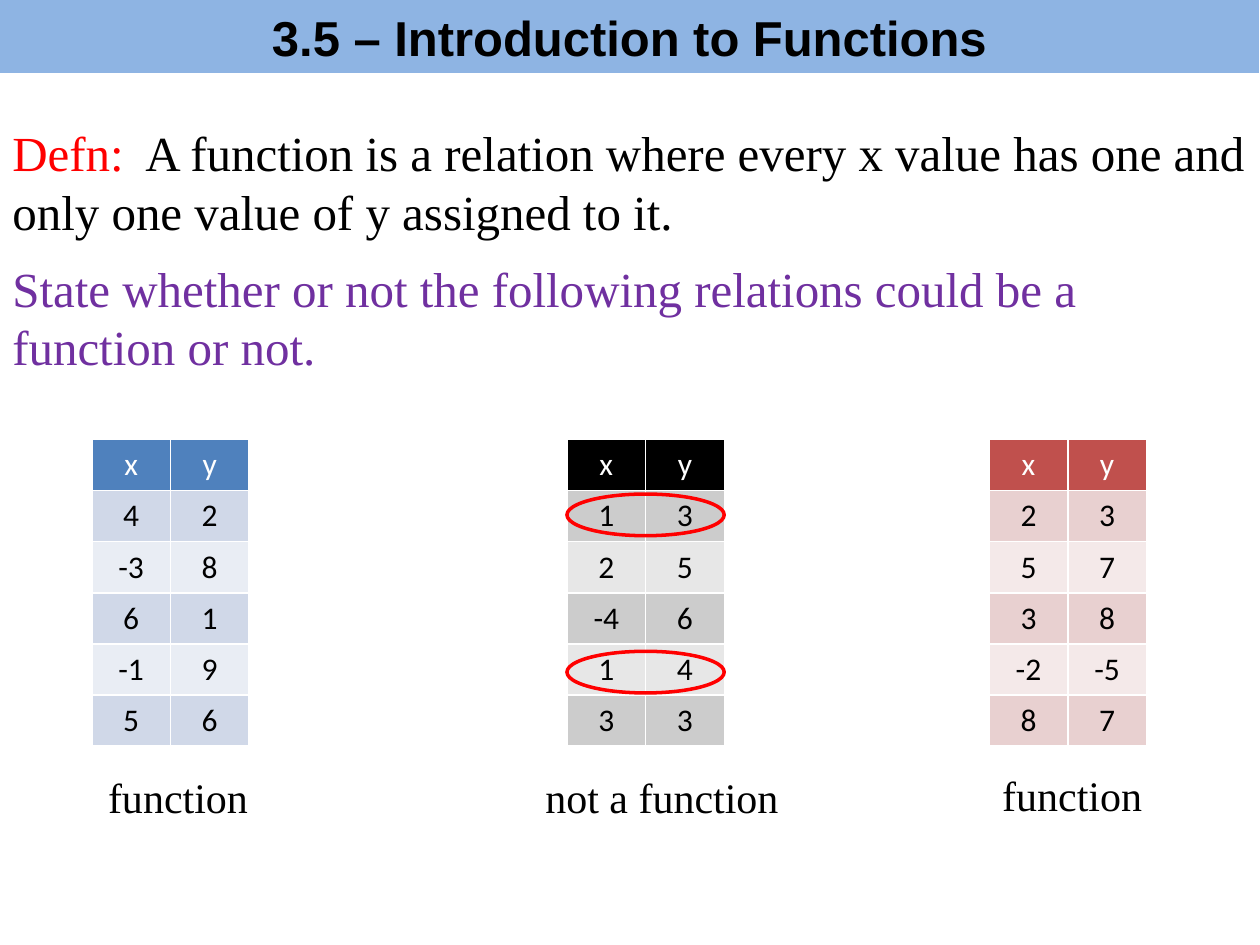
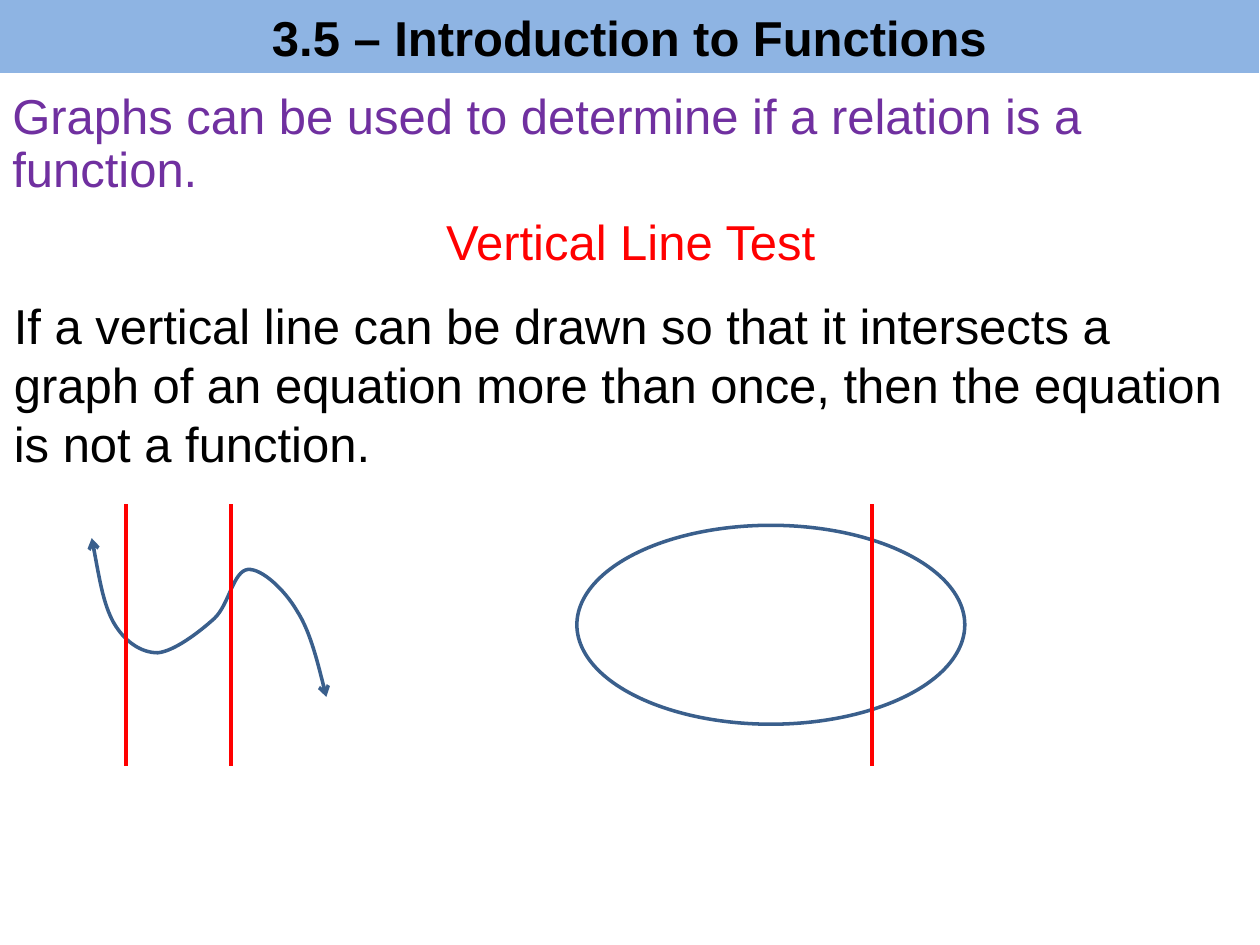
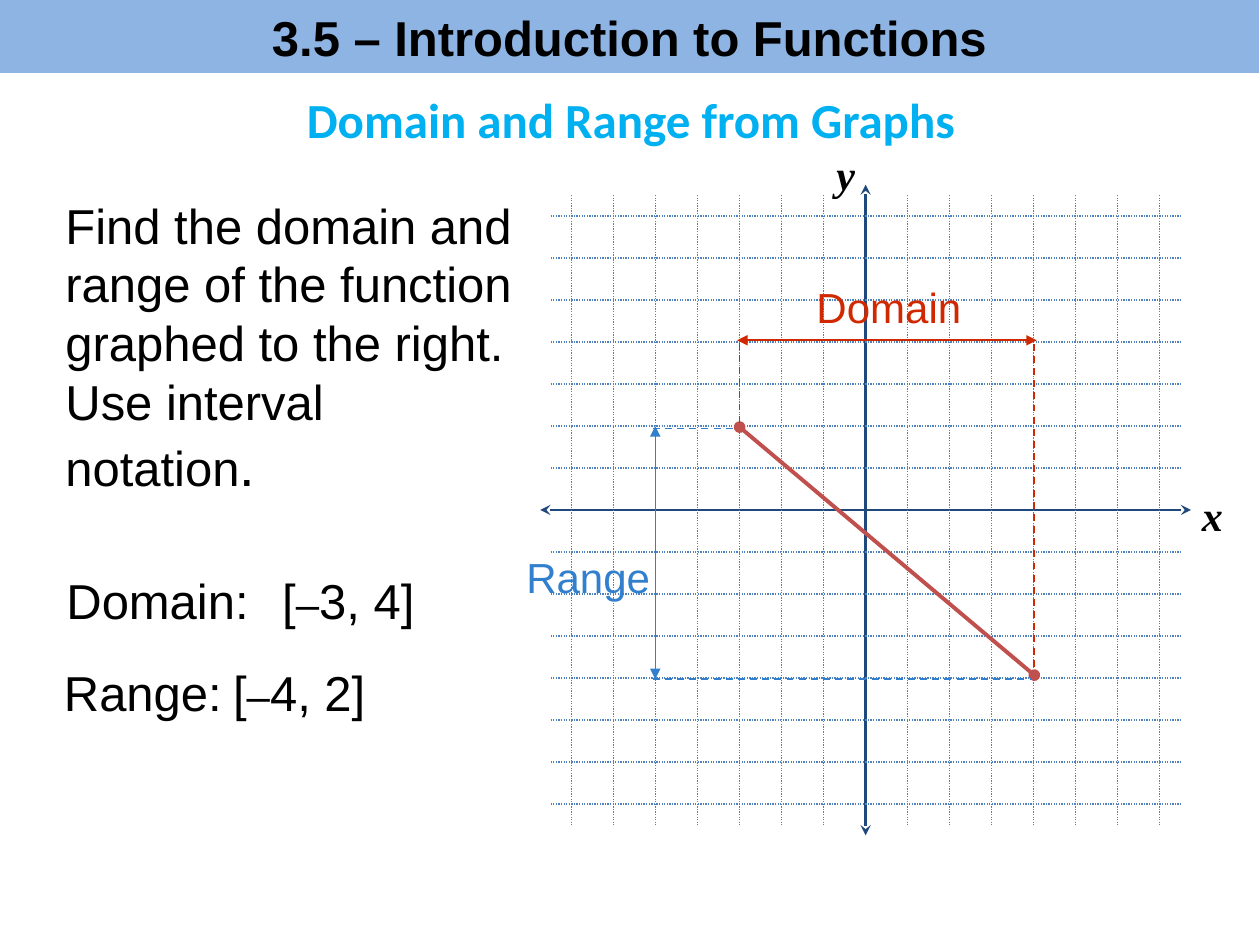
from lxml import etree
from pptx import Presentation
from pptx import util as u
from pptx.dml import color
from pptx.enum import dml, shapes, text
from pptx.oxml import ns

SANS, SERIF, CALIBRI = "Arial", "Times New Roman", "Calibri"
BLACK, WHITE, RED, PURPLE = "000000", "FFFFFF", "FF0000", "7030A0"
BAND, CURVE, AXIS, GRID = "8EB4E3", "3A5F8C", "1F497D", "4F81BD"
SEG, DOMAIN, RANGE, SKY = "C0504D", "D02800", "317FCD", "00B0F0"
LEFT, MID = text.PP_ALIGN.LEFT, text.PP_ALIGN.CENTER
DASH, DOT = dml.MSO_LINE.DASH, dml.MSO_LINE.ROUND_DOT
TITLE = "3.5 – Introduction to Functions"
TOP = 8.86
TABLES = [
    (1.85, ("4F81BD", "D0D8E8", "E9EDF4"),
     [(4, 2), (-3, 8), (6, 1), (-1, 9), (5, 6)]),
    (11.43, (BLACK, "CCCCCC", "E7E7E7"),
     [(1, 3), (2, 5), (-4, 6), (1, 4), (3, 3)]),
    (19.94, ("C0504D", "E8D0D0", "F4E9E9"),
     [(2, 3), (5, 7), (3, 8), (-2, -5), (8, 7)]),
]
WAVE = [
    (1.85, 10.85), (1.98, 11.51), (2.08, 12.17), (2.29, 12.55),
    (2.51, 12.93), (2.84, 13.16), (3.18, 13.16),
    (3.51, 13.13), (4.01, 12.75), (4.32, 12.47),
    (4.62, 12.19), (4.7, 11.51), (5, 11.48),
    (5.28, 11.46), (5.74, 11.89), (5.99, 12.32),
    (6.27, 12.75), (6.58, 14.05), (6.58, 14.05),
]


def rgb(code):
    """Turn a hex string into a colour."""
    return color.RGBColor.from_string(code)


def cms(*nums):
    """Turn numbers into lengths."""
    return [u.Cm(n) for n in nums]


def style(font, size, hue, face, bold=False, slant=False):
    """Format a font."""
    font.size, font.name = u.Pt(size), face
    font.bold, font.italic = bold, slant
    font.color.rgb = rgb(hue)


def write(slide, box, parts, size=28, hue=BLACK, face=SANS, align=LEFT,
          bold=False, slant=False, space=None):
    """Add a text box; each part is a string or (string, size, hue)."""
    frame = slide.shapes.add_textbox(*cms(*box)).text_frame
    frame.word_wrap = True
    para = frame.paragraphs[0]
    para.alignment = align
    if space:
        para.line_spacing = space
    for part in parts:
        words, pts, tint = (part, size, hue) if isinstance(part, str) else part
        run = para.add_run()
        run.text = words
        style(run.font, pts, tint, face, bold, slant)


def ink(line, hue, width, dash=None, ends=None):
    """Format a line, with the same arrowhead at both ends if given."""
    line.color.rgb = rgb(hue)
    line.width = u.Pt(width)
    if dash:
        line.dash_style = dash
    if ends:
        node = line._get_or_add_ln()
        for tag in ("a:headEnd", "a:tailEnd"):
            etree.SubElement(node, ns.qn(tag)).set("type", ends)


def rule(slide, x1, y1, x2, y2, hue, width, dash=None, ends=None):
    """Draw a straight line."""
    line = slide.shapes.add_connector(
        shapes.MSO_CONNECTOR.STRAIGHT, *cms(x1, y1, x2, y2))
    ink(line.line, hue, width, dash, ends)
    etree.SubElement(line._element.spPr, ns.qn("a:effectLst"))


def oval(slide, box, hue):
    """Draw an unfilled ellipse."""
    ring = slide.shapes.add_shape(shapes.MSO_SHAPE.OVAL, *cms(*box))
    ring.shadow.inherit = False
    ring.fill.background()
    ink(ring.line, hue, 2)


def curve(slide, points):
    """Draw a smooth open curve from Bezier control points."""
    first, *rest = [cms(*point) for point in points]
    build = slide.shapes.build_freeform(*first)
    build.add_line_segments(rest, close=False)
    wave = build.convert_to_shape()
    wave.shadow.inherit = False
    wave.fill.background()
    ink(wave.line, CURVE, 2, ends="arrow")
    steps = list(wave._element.iter(ns.qn("a:lnTo")))
    for i in range(0, len(steps), 3):
        bend = etree.Element(ns.qn("a:cubicBezTo"))
        steps[i].addprevious(bend)
        for step in steps[i:i + 3]:
            bend.append(step[0])
            step.getparent().remove(step)


def table(slide, left, hues, pairs):
    """Add a banded table of x and y values."""
    rows = [("x", "y"), *pairs]
    grid = slide.shapes.add_table(
        len(rows), 2, *cms(left, TOP, 3.17, 6.18)).table
    for i, row in enumerate(rows):
        grid.rows[i].height = u.Cm(1.03)
        for j, value in enumerate(row):
            cell = grid.cell(i, j)
            cell.fill.solid()
            cell.fill.fore_color.rgb = rgb(hues[2 - i % 2 if i else 0])
            cell.vertical_anchor = text.MSO_ANCHOR.MIDDLE
            para = cell.text_frame.paragraphs[0]
            para.text = str(value)
            para.alignment = MID
            style(para.runs[0].font, 18, BLACK if i else WHITE, CALIBRI)


def band(slide):
    """Add the title band."""
    bar = slide.shapes.add_shape(
        shapes.MSO_SHAPE.RECTANGLE, *cms(0, 0, 25.38, 1.47))
    bar.shadow.inherit = False
    bar.fill.solid()
    bar.fill.fore_color.rgb = rgb(BAND)
    bar.line.fill.background()
    para = bar.text_frame.paragraphs[0]
    para.text = TITLE
    para.alignment = MID
    style(para.runs[0].font, 28, BLACK, SANS, True)


def define(slide):
    """Fill the slide on the definition of a function."""
    write(slide, (0, 2.34, 25.4, 2.64), [
        ("Defn:", 28, RED),
        "  A function is a relation where every x value has one and "
        "only one value of y assigned to it."], face=SERIF)
    write(slide, (0, 5.08, 25.4, 2.64), [
        "State whether or not the following relations could be a "
        "function or not."], hue=PURPLE, face=SERIF)
    for spec in TABLES:
        table(slide, *spec)
    for left, top, width, words in [
            (1.85, 15.42, 3.48, "function"),
            (10.59, 15.42, 5.51, "not a function"),
            (19.89, 15.39, 3.45, "function")]:
        write(slide, (left, top, width, 1.3), [words], 24, face=SERIF,
              align=MID)
    for top in (9.96, 13.13):
        oval(slide, (11.43, top, 3.17, 0.84), RED)


def test(slide):
    """Fill the slide on the vertical line test."""
    write(slide, (0, 1.73, 25.37, 2.41), [
        "Graphs can be used to determine if a relation is a function."],
        hue=PURPLE, space=0.9)
    write(slide, (0.03, 4.14, 25.37, 1.7), ["Vertical Line Test"],
          hue=RED, align=MID)
    write(slide, (0.03, 5.84, 25.35, 3.86), [
        "If a vertical line can be drawn so that it intersects a graph of "
        "an equation more than once, then the equation is not a function."])
    oval(slide, (11.63, 10.59, 7.82, 4.01), CURVE)
    curve(slide, WAVE)
    for x in (2.54, 4.65, 17.58):
        rule(slide, x, 10.16, x, 15.44, RED, 2.25)


def plane(slide, x, y):
    """Draw the axes and grid around the centre x, y."""
    half, reach = 6.35, 6.56
    rule(slide, x, y - reach, x, y + reach, AXIS, 1.5, ends="stealth")
    rule(slide, x - reach, y, x + reach, y, AXIS, 1.5, ends="stealth")
    for i in range(-7, 8):
        if i:
            gap = i * half / 7.5
            rule(slide, x - half, y + gap, x + half, y + gap, GRID, 0.75, DOT)
            rule(slide, x + gap, y - half, x + gap, y + half, GRID, 0.75, DOT)
    for name, left, top in [("x", 23.98, 9.75), ("y", 16.61, 2.87)]:
        write(slide, (left, top, 0.94, 1.27), [name], 24, face=SERIF,
              bold=True, slant=True)


def spans(slide):
    """Fill the slide on domain and range."""
    write(slide, (0.03, 1.68, 25.37, 1.45), ["Domain and Range from Graphs"],
          hue=SKY, face=CALIBRI, align=MID, bold=True)
    write(slide, (1.07, 3.81, 9.73, 6.4), [
        "Find the domain and range of the function graphed to the right.  "
        "Use interval notation", (".", 32, BLACK)])
    plane(slide, 17.45, 10.28)
    rule(slide, 14.91, 8.61, 20.85, 13.61, SEG, 2.25, ends="oval")
    rule(slide, 20.85, 6.93, 20.85, 13.46, DOMAIN, 1, DASH)
    rule(slide, 14.91, 6.91, 14.91, 8.53, DOMAIN, 1, DASH)
    rule(slide, 14.86, 6.86, 20.9, 6.86, DOMAIN, 1, ends="triangle")
    rule(slide, 13.16, 13.69, 20.78, 13.69, RANGE, 1, DASH)
    rule(slide, 13.16, 8.64, 14.83, 8.64, RANGE, 1, DASH)
    rule(slide, 13.21, 8.59, 13.21, 13.69, RANGE, 0.75, ends="triangle")
    write(slide, (16.21, 5.56, 3.91, 1.3), ["Domain"], 24, DOMAIN)
    write(slide, (10.36, 11, 3.35, 1.3), ["Range"], 24, RANGE)
    for top, left, width, name, start, rest in [
            (11.38, 1.09, 4.34, "Domain:", 5.44, "3, 4]"),
            (13.23, 1.04, 4.04, "Range:", 4.45, "4, 2]")]:
        write(slide, (left, top, width, 1.45), [name])
        write(slide, (start, top, 3.8, 1.45), ["[", ("–", 24, BLACK), rest])


def main():
    """Build the deck."""
    deck = Presentation()
    deck.slide_width, deck.slide_height = cms(25.4, 19.05)
    for fill in (define, test, spans):
        slide = deck.slides.add_slide(deck.slide_layouts[6])
        fill(slide)
        band(slide)
    deck.save("out.pptx")


if __name__ == "__main__":
    main()
